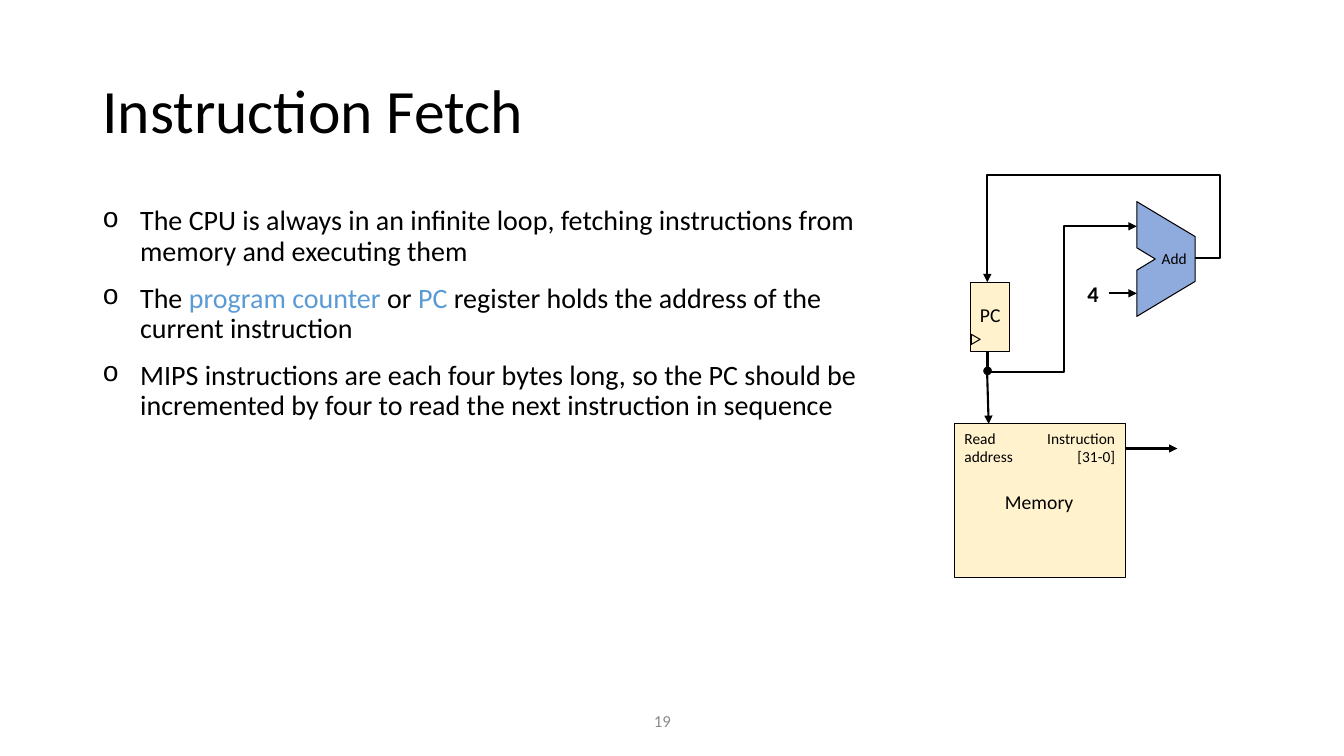
from dataclasses import dataclass
from lxml import etree
from pptx import Presentation
from pptx import util as u
from pptx.dml.color import RGBColor
from pptx.enum import shapes, text
from pptx.oxml import ns


@dataclass(frozen=True)
class Theme:
    font: str = "Calibri"
    mark: str = "Courier New"
    ink: str = "000000"
    key: str = "5B9BD5"
    dim: str = "8C8C8C"
    unit: str = "FFF2CC"
    adder: str = "8FAADC"
    title: int = 44
    body: int = 20
    big: int = 16
    name: int = 14
    page: int = 12
    port: int = 11
    wire: float = 1.5
    edge: float = 0.75


def put(obj, vals):
    for key, val in vals.items():
        setattr(obj, key, val)


def child(node, tag, **vals):
    return etree.SubElement(node, ns.qn(tag), vals)


class Board:
    def __init__(self, slide, theme):
        self.items = slide.shapes
        self.theme = theme

    def words(self, para, phrase, size, color, bold=False):
        run = para.add_run()
        run.text = phrase
        put(run.font, {"name": self.theme.font, "size": u.Pt(size), "bold": bold})
        run.font.color.rgb = RGBColor.from_string(color)

    def label(self, area, lines, size, align="LEFT", color=None, bold=False,
              inset=(7.2, 3.6), wrap=True, anchor="TOP", lead=1.0):
        frame = self.items.add_textbox(*map(u.Pt, area)).text_frame
        side, top = map(u.Pt, inset)
        put(frame, {"word_wrap": wrap, "margin_left": side, "margin_right": side,
                    "margin_top": top, "margin_bottom": top,
                    "vertical_anchor": text.MSO_ANCHOR[anchor]})
        for i, line in enumerate(lines):
            para = frame.add_paragraph() if i else frame.paragraphs[0]
            put(para, {"alignment": text.PP_ALIGN[align], "line_spacing": lead})
            self.words(para, line, size, color or self.theme.ink, bold)

    def points(self, area, rows):
        frame = self.items.add_textbox(*map(u.Pt, area)).text_frame
        frame.word_wrap = True
        dent = u.Pt(27)
        for i, row in enumerate(rows):
            para = frame.add_paragraph() if i else frame.paragraphs[0]
            props = para._p.get_or_add_pPr()
            props.set("marL", str(dent))
            props.set("indent", str(-dent))
            child(props, "a:buFont", typeface=self.theme.mark)
            child(props, "a:buChar", char="o")
            put(para, {"line_spacing": 0.9, "space_before": u.Pt(12 if i else 0)})
            for j, phrase in enumerate(row):
                color = self.theme.key if j % 2 else self.theme.ink
                self.words(para, phrase, self.theme.body, color)

    def paint(self, shape, fill, width):
        shape.shadow.inherit = False
        shape.fill.solid()
        shape.fill.fore_color.rgb = RGBColor.from_string(fill)
        shape.line.color.rgb = RGBColor.from_string(self.theme.ink)
        shape.line.width = u.Pt(width)

    def block(self, kind, area, fill, width, turn=0):
        shape = self.items.add_shape(shapes.MSO_SHAPE[kind], *map(u.Pt, area))
        shape.rotation = turn
        self.paint(shape, fill, width)

    def outline(self, dots, fill):
        first, *rest = [(u.Pt(x), u.Pt(y)) for x, y in dots]
        pen = self.items.build_freeform(*first, scale=1.0)
        pen.add_line_segments(rest, close=True)
        self.paint(pen.convert_to_shape(), fill, self.theme.edge)

    def wire(self, start, end, head=True, bends=()):
        kind = shapes.MSO_CONNECTOR.ELBOW if bends else shapes.MSO_CONNECTOR.STRAIGHT
        link = self.items.add_connector(kind, *map(u.Pt, start + end))
        link.line.color.rgb = RGBColor.from_string(self.theme.ink)
        link.line.width = u.Pt(self.theme.wire)
        props = link._element.spPr
        if bends:
            geom = props.find(ns.qn("a:prstGeom"))
            geom.set("prst", f"bentConnector{len(bends) + 2}")
            guides = geom.find(ns.qn("a:avLst"))
            if guides is None:
                guides = child(geom, "a:avLst")
            for i, bend in enumerate(bends, 1):
                child(guides, "a:gd", name=f"adj{i}", fmla=f"val {round(bend * 100000)}")
        if head:
            child(props.find(ns.qn("a:ln")), "a:tailEnd", type="triangle")
        child(props, "a:effectLst")


def main():
    deck = Presentation()
    put(deck, {"slide_width": u.Pt(960), "slide_height": u.Pt(540)})
    look = Theme()
    board = Board(deck.slides.add_slide(deck.slide_layouts[6]), look)

    board.label((460, 500.4, 57, 28.8), ["19"], look.page, color=look.dim, anchor="MIDDLE")
    board.label((66, 28.8, 828, 104.4), ["Instruction Fetch"], look.title,
                anchor="MIDDLE", lead=0.9)
    board.points((66, 144, 555, 325.4), [
        ["The CPU is always in an infinite loop, fetching instructions from memory "
         "and executing them"],
        ["The ", "program counter ", "or ", "PC",
         " register holds the address of the current instruction"],
        ["MIPS instructions are each four bytes long, so the PC should be "
         "incremented by four to read the next instruction in sequence"],
    ])

    board.wire((853.5, 184.5), (705.3, 201.6), bends=(-0.12, -3.5))
    board.block("OVAL", (702.5, 262, 5.8, 5.8), look.ink, 0.25)
    board.wire((705.4, 265.7), (812, 161.7), bends=(0.51,))
    board.outline([(812, 144), (812, 177), (825.2, 185), (812, 193),
                   (812, 226), (853.7, 201), (853.7, 169)], look.adder)
    board.label((824.4, 178, 28.8, 13.7), ["Add"], look.port, "CENTER", inset=(0, 0))
    board.label((769.7, 196.6, 23, 26.6), ["4"], look.big, bold=True, wrap=False)
    board.wire((792, 209.5), (812, 209.5))

    board.block("RECTANGLE", (681.8, 302.8, 122.4, 109.4), look.unit, look.edge)
    board.label((681.8, 302.8, 49, 33.8), ["Read", "address"], look.port, wrap=False)
    board.label((733, 302.8, 70.6, 33.8), ["Instruction [31-0]"], look.port, "RIGHT")
    board.label((710.6, 346.3, 63.4, 24.5), ["Memory"], look.name, "CENTER", wrap=False)
    board.wire((804.2, 320.4), (841, 320.4))

    board.wire((705.4, 251.3), (705.4, 267), head=False)
    board.block("RECTANGLE", (693.2, 201.8, 28.2, 49.2), look.unit, look.edge)
    board.label((692.6, 212.6, 29.5, 24.5), ["PC"], look.name, "CENTER", wrap=False)
    board.block("ISOSCELES_TRIANGLE", (691.8, 238.4, 7.2, 6.2), look.unit, look.edge, 330)
    board.wire((705, 262), (706.2, 302.8))

    deck.save("out.pptx")


if __name__ == "__main__":
    main()
